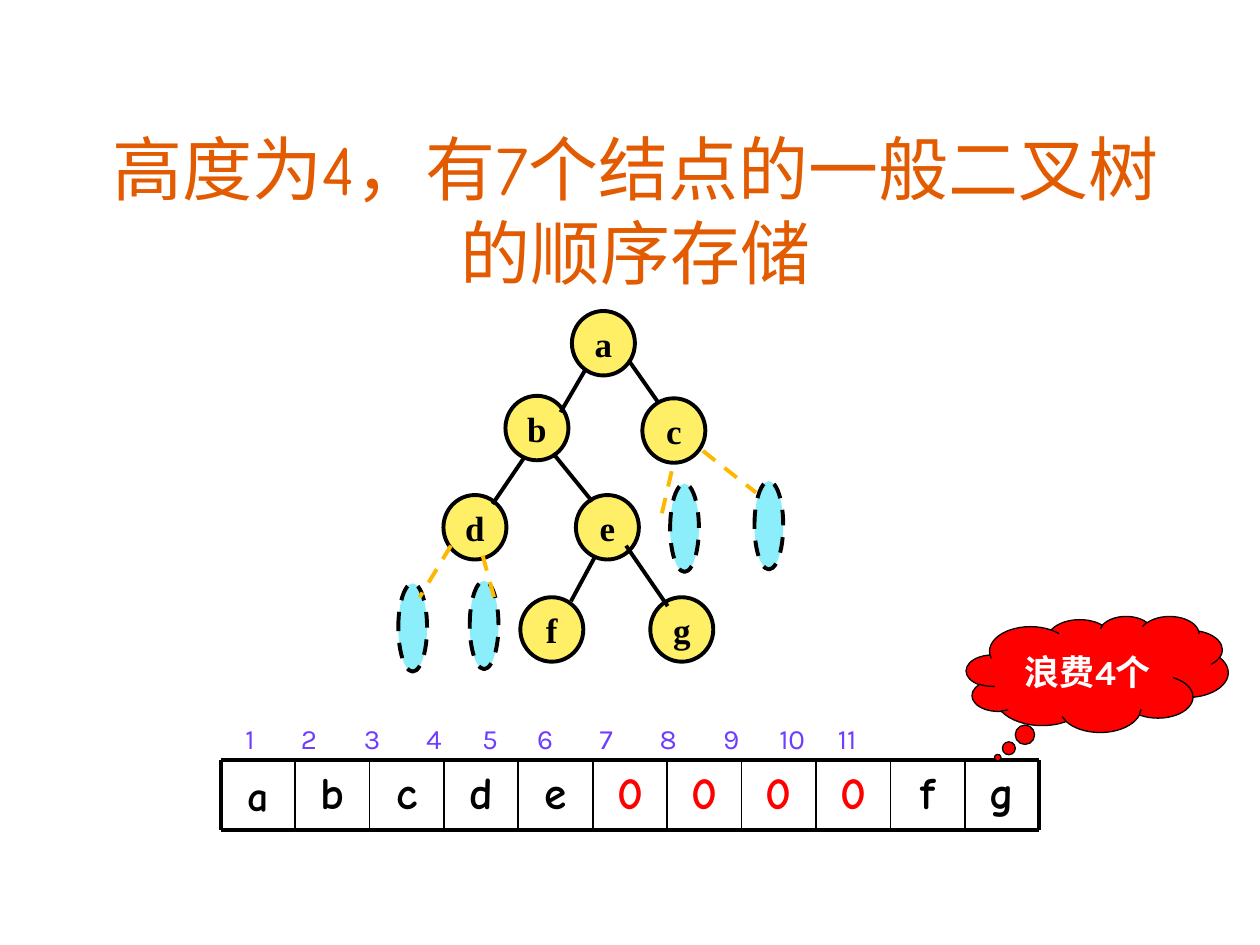
from lxml import etree
from pptx import Presentation
from pptx.dml.color import RGBColor
from pptx.enum.dml import MSO_LINE_DASH_STYLE as DASH
from pptx.enum.shapes import MSO_CONNECTOR as LINE, MSO_SHAPE as SHAPE
from pptx.enum.text import MSO_ANCHOR as ANCHOR, PP_ALIGN as ALIGN
from pptx.oxml.ns import qn
from pptx.util import Cm, Pt

COLORS = {
    "title": "E25B00", "node": "FFEF66", "empty": "8DEEFB", "link": "FFB800",
    "index": "703DFF", "red": "FF0000", "black": "000000", "white": "FFFFFF",
}
TITLE = "高度为4，有7个结点的一般二叉树的顺序存储"
CALLOUT = "浪费4个"
NODES = {
    "a": (11.53, 6.27), "b": (10.19, 7.98), "c": (12.95, 8.03),
    "d": (8.94, 9.98), "e": (11.61, 9.98), "f": (10.49, 12.04), "g": (13.11, 12.04),
}
EDGES = [
    (11.79, 7.47, 11.3, 8.31), (10.57, 9.22, 9.93, 10.16),
    (12.67, 7.26, 13.26, 8.1), (11.15, 9.14, 11.94, 10.11),
    (12.62, 11, 13.46, 12.22), (11.99, 11.23, 11.51, 12.12),
]
EMPTY_NODES = [(13.51, 9.75), (15.21, 9.7), (8.03, 11.76), (9.47, 11.71)]
EMPTY_EDGES = [
    (9.09, 11, 8.46, 12.04), (13.54, 9.5, 13.34, 10.36),
    (14.17, 9.09, 15.24, 9.93), (9.73, 11.2, 9.96, 12.04),
]
ARRAY = "abcde0000fg"
INDEX_STOPS = [0.34, 1.53, 2.8, 4.05, 5.18, 6.29, 7.52, 8.77, 10.04, 11.27, 12.38]
LEFT, TOP, CELL_W, CELL_H = 4.45, 15.32, 1.5, 1.42
THICK, THIN = 2.25, 1

prs = Presentation()
prs.slide_width, prs.slide_height = Cm(25.4), Cm(19.05)
s = prs.slides.add_slide(prs.slide_layouts[6])


def color(name):
    return RGBColor.from_string(COLORS[name])


def write(sp, text, font, size, ink, bold=False, align=ALIGN.CENTER, anchor=ANCHOR.MIDDLE, wrap=True):
    tf = sp.text_frame
    tf.word_wrap, tf.vertical_anchor = wrap, anchor
    p = tf.paragraphs[0]
    p.text, p.alignment = text, align
    for r in p.runs:
        r.font.name, r.font.size, r.font.bold = font, Pt(size), bold
        r.font.color.rgb = color(ink)
    return p


def add_text(x, y, w, h, *args, **kwargs):
    return write(s.shapes.add_textbox(Cm(x), Cm(y), Cm(w), Cm(h)), *args, **kwargs)


def add_shape(kind, x, y, w, h, fill, width=THICK):
    sp = s.shapes.add_shape(kind, Cm(x), Cm(y), Cm(w), Cm(h))
    sp.shadow.inherit = False
    sp.fill.solid()
    sp.fill.fore_color.rgb = color(fill)
    sp.line.color.rgb = color("black")
    sp.line.width = Pt(width)
    return sp


def add_line(x1, y1, x2, y2, ink="black", width=THICK):
    c = s.shapes.add_connector(LINE.STRAIGHT, Cm(x1), Cm(y1), Cm(x2), Cm(y2))
    c.line.color.rgb = color(ink)
    c.line.width = Pt(width)
    etree.SubElement(c._element.spPr, qn("a:effectLst"))
    return c


add_text(1.91, 3.94, 21.79, 2.11, TITLE, "Comic Neue", 40, "title", anchor=ANCHOR.BOTTOM)

for name, (x, y) in NODES.items():
    sp = add_shape(SHAPE.OVAL, x, y, 1.27, 1.3, "node")
    write(sp, name, "Times New Roman", 20, "black", bold=True, wrap=False)
for edge in EDGES:
    add_line(*edge)

for i, value in enumerate(ARRAY):
    p = add_text(LEFT + i * CELL_W, TOP, CELL_W, CELL_H, value, "Comic Neue",
                 25.9 if i else 24, "red" if value == "0" else "black", bold=True)
    if i:
        p.line_spacing = 0.9

for x, y in EMPTY_NODES:
    add_shape(SHAPE.OVAL, x, y, 0.58, 1.78, "empty").line.dash_style = DASH.DASH
for edge in EMPTY_EDGES:
    add_line(*edge, ink="link").line.dash_style = DASH.DASH

right, bottom = LEFT + len(ARRAY) * CELL_W, TOP + CELL_H
for y in (TOP, bottom):
    add_line(LEFT, y, right, y)
for i in range(len(ARRAY) + 1):
    x = LEFT + i * CELL_W
    add_line(x, TOP, x, bottom, width=THICK if i in (0, len(ARRAY)) else THIN)

labels = "".join(f"\t{i}" for i in range(1, len(ARRAY) + 1))
p = add_text(LEFT, 14.43, 16.71, 0.94, labels, "Karla", 16, "index",
             align=ALIGN.LEFT, anchor=ANCHOR.TOP)
tabs = etree.SubElement(p._p.get_or_add_pPr(), qn("a:tabLst"))
for stop in INDEX_STOPS:
    etree.SubElement(tabs, qn("a:tab"), pos=str(Cm(stop)), algn="ctr")

sp = add_shape(SHAPE.CLOUD_CALLOUT, 19.48, 12.42, 5.28, 2.34, "red", 0.75)
sp.adjustments[0], sp.adjustments[1] = -0.38, 0.72
write(sp, CALLOUT, "Karla", 20, "white", bold=True)

prs.save("out.pptx")
